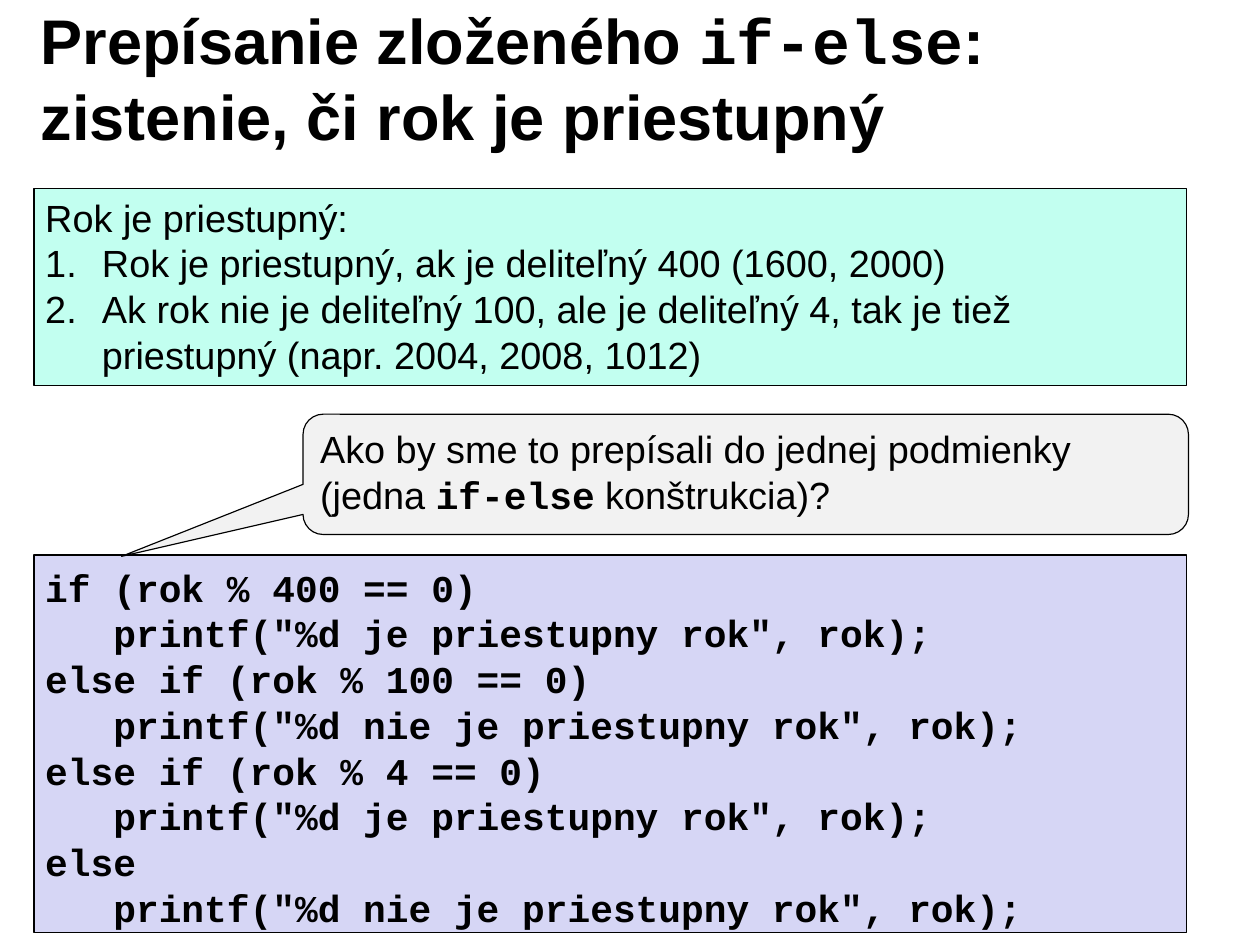
from lxml import etree
from pptx import Presentation
from pptx import util as u
from pptx.dml.color import RGBColor
from pptx.enum import shapes, text
from pptx.oxml.ns import qn

SANS, MONO = "Arial", "Courier New"
BLACK = "000000"
CODE = """if (rok % 400 == 0)
   printf("%d je priestupny rok", rok);
else if (rok % 100 == 0)
   printf("%d nie je priestupny rok", rok);
else if (rok % 4 == 0)
   printf("%d je priestupny rok", rok);
else
   printf("%d nie je priestupny rok", rok);"""


def color(value):
    return RGBColor.from_string(value)


def inches(box):
    return [u.Inches(n) for n in box]


def number(para):
    """Give a paragraph a hanging automatic number."""
    props = para._p.get_or_add_pPr()
    props.set("marL", str(u.Inches(0.5)))
    props.set("indent", str(-u.Inches(0.5)))
    etree.SubElement(props, qn("a:buAutoNum"), type="arabicPeriod")


def write(para, runs, size, pitch):
    """Add (wording, font, bold) runs with a fixed line pitch."""
    para.alignment = text.PP_ALIGN.LEFT
    para.line_spacing = u.Pt(pitch)
    for words, face, bold in runs:
        run = para.add_run()
        run.text = words
        run.font.name = face
        run.font.size = u.Pt(size)
        run.font.bold = bold
        run.font.color.rgb = color(BLACK)


def fill(frame, paras, pads, anchor=text.MSO_ANCHOR.TOP, size=24, pitch=29):
    frame.word_wrap = True
    frame.vertical_anchor = anchor
    (frame.margin_left, frame.margin_top,
     frame.margin_right, frame.margin_bottom) = inches(pads)
    for i, runs in enumerate(paras):
        para = frame.add_paragraph() if i else frame.paragraphs[0]
        write(para, runs, size, pitch)


def panel(slide, kind, box, back, paras, pads=(0.1, 0.05, 0.1, 0.05)):
    shape = slide.shapes.add_shape(kind, *inches(box))
    shape.shadow.inherit = False
    shape.fill.solid()
    shape.fill.fore_color.rgb = color(back)
    shape.line.color.rgb = color(BLACK)
    shape.line.width = u.Pt(0.75)
    fill(shape.text_frame, paras, pads)
    return shape


def title(slide, box):
    frame = slide.shapes.add_textbox(*inches(box)).text_frame
    runs = [("Prepísanie zloženého ", SANS, True),
            ("if-else", MONO, True),
            (": zistenie, či rok je priestupný", SANS, True)]
    fill(frame, [runs], (0.11, 0.06, 0.11, 0.06),
         text.MSO_ANCHOR.MIDDLE, 40, 48)


def rules(slide, box):
    lines = ["Rok je priestupný:",
             "Rok je priestupný, ak je deliteľný 400 (1600, 2000)",
             "Ak rok nie je deliteľný 100, ale je deliteľný 4, tak je tiež "
             "priestupný (napr. 2004, 2008, 1012)"]
    shape = panel(slide, shapes.MSO_SHAPE.RECTANGLE, box, "C2FFF0",
                  [[(line, SANS, False)] for line in lines])
    for para in shape.text_frame.paragraphs[1:]:
        number(para)


def code(slide, box):
    panel(slide, shapes.MSO_SHAPE.RECTANGLE, box, "D6D6F5",
          [[(line, MONO, True)] for line in CODE.splitlines()],
          (0.1, 0.08, 0.1, 0.02))


def task(slide, box):
    runs = [("Ako by sme to prepísali do jednej podmienky (jedna ", SANS, False),
            ("if-else", MONO, True),
            (" konštrukcia)?", SANS, False)]
    shape = panel(slide, shapes.MSO_SHAPE.ROUNDED_RECTANGULAR_CALLOUT, box,
                  "F2F2F2", [runs])
    for i, value in enumerate((-0.705, 0.682, 0.167)):
        shape.adjustments[i] = value


def main():
    deck = Presentation()
    deck.slide_width, deck.slide_height = inches((11.1, 8.3))
    slide = deck.slides.add_slide(deck.slide_layouts[6])
    left, width = 0.3, 10.15
    title(slide, (0.25, 0.17, 8.92, 1.02))
    rules(slide, (left, 1.66, width, 1.74))
    code(slide, (left, 4.89, width, 3.33))
    task(slide, (2.67, 3.65, 7.8, 1.06))
    deck.save("out.pptx")


if __name__ == "__main__":
    main()
